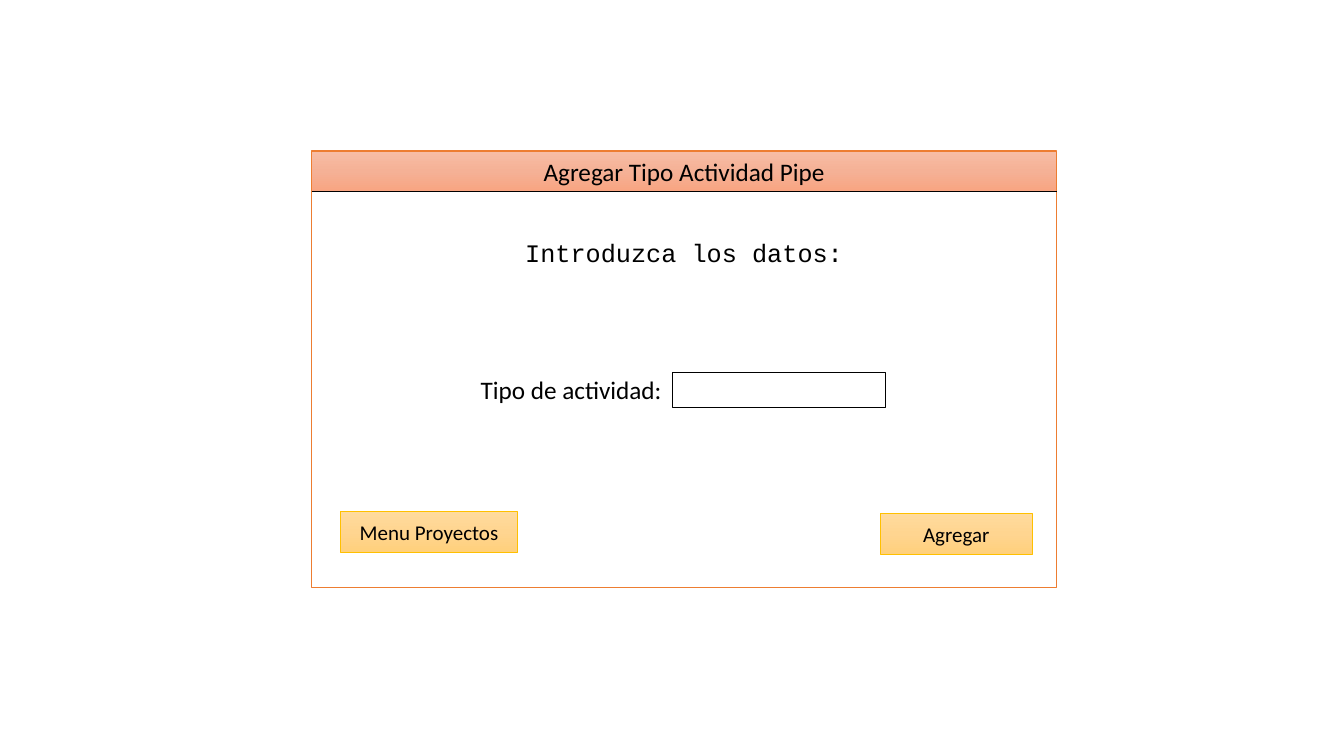
import copy
from dataclasses import dataclass

import lxml.etree
import pptx
import pptx.dml.color
import pptx.enum.shapes
import pptx.enum.text
import pptx.oxml.ns
import pptx.util

Inches = pptx.util.Inches
Shapes = pptx.enum.shapes.MSO_SHAPE


@dataclass(frozen=True)
class Theme:
    text: str = "000000"
    paper: str = "FFFFFF"
    frame_line: str = "ED7D31"
    button_line: str = "FFC000"
    header_fill: tuple = ("F7BDA5", "F5B196", "F8A582")
    button_fill: tuple = ("FFDB9E", "FFD590", "FFD07C")
    font: str = "Calibri"
    prompt_font: str = "Courier New"
    body_size: int = 18
    button_size: int = 15
    thin: float = 0.5
    thick: float = 1


THEME = Theme()


def rgb(value):
    return pptx.dml.color.RGBColor.from_string(value)


def set_line(shape, color, width=THEME.thin):
    shape.line.color.rgb = rgb(color)
    shape.line.width = pptx.util.Pt(width)


def set_gradient(shape, colors):
    shape.fill.gradient()
    shape.fill.gradient_angle = 270
    stop_list = shape.element.spPr.find(".//" + pptx.oxml.ns.qn("a:gsLst"))
    stop_list.insert(1, copy.deepcopy(stop_list[0]))
    for index, (stop, color) in enumerate(zip(shape.fill.gradient_stops, colors)):
        stop.position = index / (len(colors) - 1)
        stop.color.rgb = rgb(color)


def set_text(shape, text, size=THEME.body_size, font=THEME.font):
    frame = shape.text_frame
    frame.text = text
    frame.word_wrap = True
    frame.auto_size = pptx.enum.text.MSO_AUTO_SIZE.NONE
    frame.vertical_anchor = pptx.enum.text.MSO_ANCHOR.MIDDLE
    para = frame.paragraphs[0]
    para.alignment = pptx.enum.text.PP_ALIGN.CENTER
    span = para.runs[0]
    span.font.name = font
    span.font.size = pptx.util.Pt(size)
    span.font.color.rgb = rgb(THEME.text)


def add_box(page, left, top, width, height, kind=Shapes.RECTANGLE):
    box = page.shapes.add_shape(
        kind, Inches(left), Inches(top), Inches(width), Inches(height)
    )
    box.shadow.inherit = False
    box.fill.background()
    box.line.fill.background()
    return box


def add_window(page, left, top, width, height):
    window = add_box(page, left, top, width, height)
    window.fill.solid()
    window.fill.fore_color.rgb = rgb(THEME.paper)
    set_line(window, THEME.frame_line, THEME.thick)
    return window


def place_header(page, window, text, height):
    title = page.shapes.title
    title.left, title.top, title.width = window.left, window.top, window.width
    title.height = Inches(height)
    set_gradient(title, THEME.header_fill)
    set_line(title, THEME.frame_line)
    set_text(title, text)
    window.element.addnext(title.element)
    bottom = title.top + title.height
    rule = page.shapes.add_connector(
        pptx.enum.shapes.MSO_CONNECTOR.STRAIGHT,
        title.left, bottom, title.left + title.width, bottom,
    )
    set_line(rule, THEME.text)
    lxml.etree.SubElement(rule.element.spPr, pptx.oxml.ns.qn("a:effectLst"))


def add_button(page, text, left, top, width):
    button = add_box(page, left, top, width, 0.41)
    set_gradient(button, THEME.button_fill)
    set_line(button, THEME.button_line)
    set_text(button, text, THEME.button_size)


def add_prompt(page, text, left, top, width, height):
    prompt = add_box(page, left, top, width, height, Shapes.ROUNDED_RECTANGLE)
    set_text(prompt, text, font=THEME.prompt_font)


def add_field(page, text, label_left, input_left, top, width, height):
    entry = add_box(page, input_left, top, width, height)
    set_line(entry, THEME.text)
    label = page.shapes.add_textbox(
        Inches(label_left), Inches(top), Inches(width), Inches(height)
    )
    set_text(label, text)


def main():
    deck = pptx.Presentation()
    deck.slide_width = Inches(13.33)
    deck.slide_height = Inches(7.5)
    page = deck.slides.add_slide(deck.slide_layouts.get_by_name("Title Only"))

    window = add_window(page, 3.09, 1.5, 7.39, 4.33)
    place_header(page, window, "Agregar Tipo Actividad Pipe", 0.4)
    add_button(page, "Agregar", 8.73, 5.09, 1.51)
    add_button(page, "Menu Proyectos", 3.38, 5.07, 1.75)
    add_prompt(page, "Introduzca los datos:", 3.63, 2.26, 6.31, 0.49)
    add_field(page, "Tipo de actividad:", 4.61, 6.67, 3.69, 2.11, 0.35)

    deck.save("out.pptx")


if __name__ == "__main__":
    main()
